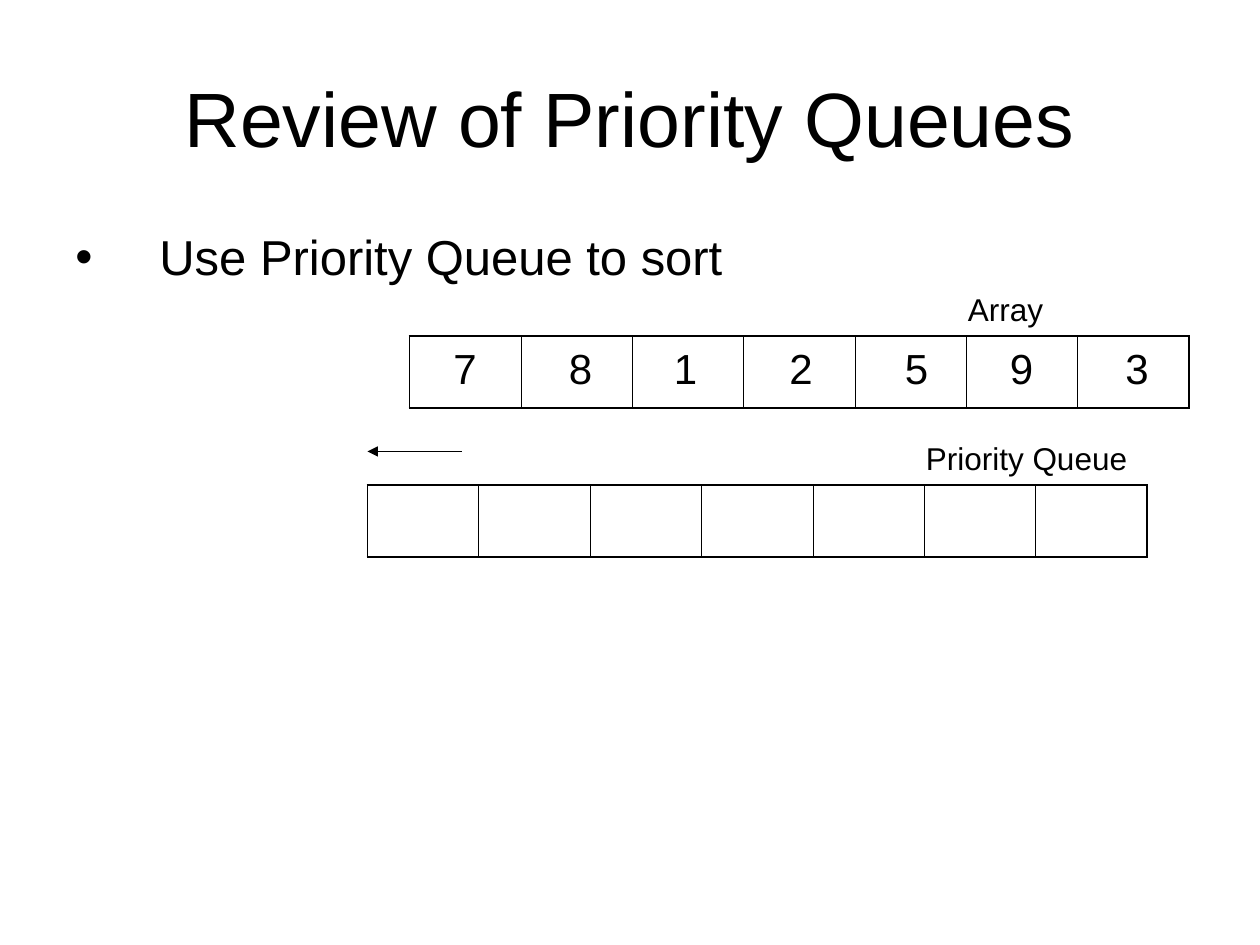
from lxml import etree
from pptx import Presentation
from pptx import util as u
from pptx.dml.color import RGBColor
from pptx.enum import shapes, text
from pptx.oxml import ns

BLACK = RGBColor(0, 0, 0)
WHITE = RGBColor(255, 255, 255)
FONT = "Arial"
CELLS = 7
CELL_W, CELL_H = 10.61, 6.84
DIGITS = "7812593"


def grid(n):
    """Turn grid units, twelve to the inch, into a length."""
    return u.Inches(n / 12)


def sub(parent, tag, **attrs):
    """Append a DrawingML element to a parent."""
    return etree.SubElement(parent, ns.qn(tag), attrs)


def add_text(s, box, words, size, wrap=False):
    """Place one paragraph in a box that grows unless it wraps."""
    tf = s.shapes.add_textbox(*map(grid, box)).text_frame
    tf.word_wrap = wrap
    fit = text.MSO_AUTO_SIZE
    tf.auto_size = fit.NONE if wrap else fit.SHAPE_TO_FIT_TEXT
    tf.text = words
    r = tf.paragraphs[0].runs[0]
    r.font.name, r.font.size = FONT, u.Pt(size)
    r.font.color.rgb = BLACK
    return tf


def add_title(s, box, words):
    """Place the centred slide title."""
    tf = add_text(s, box, words, 44, wrap=True)
    tf.vertical_anchor = text.MSO_ANCHOR.MIDDLE
    tf.paragraphs[0].alignment = text.PP_ALIGN.CENTER


def add_bullet(s, box, words):
    """Place a bulleted line with a hanging indent."""
    tf = add_text(s, box, words, 28, wrap=True)
    pPr = tf.paragraphs[0]._p.get_or_add_pPr()
    indent = grid(8)
    pPr.set("marL", str(indent))
    pPr.set("indent", str(-indent))
    sub(pPr, "a:buFont", typeface=FONT)
    sub(pPr, "a:buChar", char="•")


def set_borders(cell, widths):
    """Draw the left, right, top and bottom borders of a cell."""
    tcPr = cell._tc.get_or_add_tcPr()
    for i, (side, width) in enumerate(zip("LRTB", widths)):
        ln = sub(tcPr, "a:ln" + side, w=str(u.Pt(width)))
        sub(sub(ln, "a:solidFill"), "a:srgbClr", val=str(BLACK))
        tcPr.insert(i, ln)


def add_cells(s, left, top):
    """Place a one-row table of empty cells."""
    box = map(grid, (left, top, CELLS * CELL_W, CELL_H))
    table = s.shapes.add_table(1, CELLS, *box).table
    table.first_row = table.horz_banding = False
    thin, thick = 0.45, 1.08
    for i, cell in enumerate(table.iter_cells()):
        table.columns[i].width = grid(CELL_W)
        cell.fill.background()
        left_w = thick if i == 0 else thin
        right_w = thick if i == CELLS - 1 else thin
        set_borders(cell, (left_w, right_w, thick, thick))


def add_array(s, left, top):
    """Place the labelled array with its digits."""
    add_cells(s, left, top)
    add_text(s, (left + 52, top - 5, 9.6, 4.8), "Array", 18)
    for i, digit in enumerate(DIGITS):
        x = left + 3 + round(i * 32 / 3)
        add_text(s, (x, top, 4.5, 6), digit, 24)


def add_queue(s, left, top):
    """Place the labelled empty queue and its exit arrow."""
    add_cells(s, left, top)
    add_text(s, (left + 52, top - 5, 21.6, 4.8), "Priority Queue", 18)
    y = top - 3.2
    ends = map(grid, (left + 9, y, left, y))
    arrow = s.shapes.add_connector(shapes.MSO_CONNECTOR.STRAIGHT, *ends)
    arrow.line.color.rgb = BLACK
    arrow.line.width = u.Pt(0.75)
    sub(arrow.line._get_or_add_ln(), "a:tailEnd", type="triangle")
    sub(arrow._element.spPr, "a:effectLst")


def main():
    """Build the slide and save it."""
    prs = Presentation()
    prs.slide_width, prs.slide_height = grid(120), grid(90)
    s = prs.slides.add_slide(prs.slide_layouts[6])
    s.background.fill.solid()
    s.background.fill.fore_color.rgb = WHITE
    add_title(s, (6, 3.6, 108, 15), "Review of Priority Queues")
    add_bullet(s, (6, 21, 110, 59.4), "Use Priority Queue to sort")
    add_array(s, 39, 32)
    add_queue(s, 35, 46.2)
    prs.save("out.pptx")


if __name__ == "__main__":
    main()
